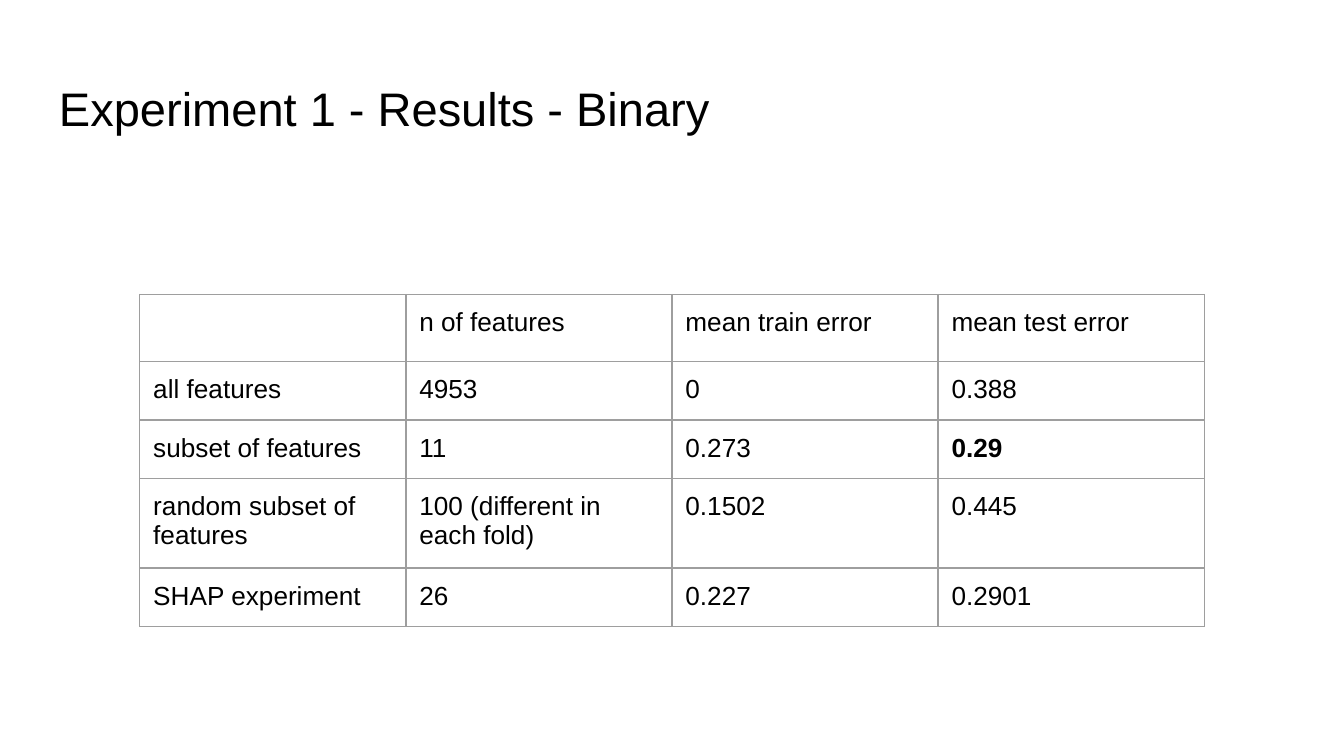
"""Build the slide with the results table of the binary experiment."""
import pptx
import pptx.dml.color
import pptx.enum.text
import pptx.oxml
import pptx.oxml.ns
import pptx.util
from pptx.util import Inches

TITLE = "Experiment 1 - Results - Binary"
ROWS = [
    ("", "n of features", "mean train error", "mean test error"),
    ("all features", "4953", "0", "0.388"),
    ("subset of features", "11", "0.273", "0.29"),
    ("random subset of features", "100 (different in each fold)", "0.1502", "0.445"),
    ("SHAP experiment", "26", "0.227", "0.2901"),
]
BEST = "0.29"
COL_WIDTH, ROW_HEIGHT = Inches(1.98), Inches(5 / 12)
FRAME_SIZE = Inches(3.28)
INSET = Inches(0.1)
BLACK, GRID = "000000", "9E9E9E"


def color(value):
    return pptx.dml.color.RGBColor.from_string(value)


def write(tf, text, size=14, bold=False, fill=BLACK, font="Arial"):
    tf.word_wrap = True
    r = tf.paragraphs[0].add_run()
    r.text = text
    r.font.name = font
    r.font.size = pptx.util.Pt(size)
    r.font.bold = bold
    r.font.color.rgb = color(fill)


def add_borders(cell, line=GRID, width=0.75):
    tcPr = cell._tc.get_or_add_tcPr()
    for side in "LRTB":
        tcPr.append(pptx.oxml.parse_xml(
            f'<a:ln{side} {pptx.oxml.ns.nsdecls("a")} w="{pptx.util.Pt(width)}">'
            f'<a:solidFill><a:srgbClr val="{line}"/></a:solidFill></a:ln{side}>'))


def main():
    prs = pptx.Presentation()
    prs.slide_width = Inches(10)
    prs.slide_height = prs.slide_width * 9 // 16
    s = prs.slides.add_slide(prs.slide_layouts[6])

    title = s.shapes.add_textbox(Inches(0.34), Inches(0.49), Inches(9.32), Inches(0.63))
    tf = title.text_frame
    tf.margin_left = tf.margin_right = tf.margin_top = tf.margin_bottom = INSET
    tf.vertical_anchor = pptx.enum.text.MSO_ANCHOR.TOP
    write(tf, TITLE, size=25.2)

    frame = s.shapes.add_table(
        len(ROWS), len(ROWS[0]), Inches(1.04), Inches(2.19), FRAME_SIZE, FRAME_SIZE)
    table = frame.table
    table.first_row = table.horz_banding = False
    for col in table.columns:
        col.width = COL_WIDTH
    for row, texts in zip(table.rows, ROWS):
        row.height = ROW_HEIGHT
        for cell, text in zip(row.cells, texts):
            cell.margin_left = cell.margin_right = INSET
            cell.margin_top = cell.margin_bottom = INSET
            add_borders(cell)
            cell.fill.background()
            if text:
                write(cell.text_frame, text, bold=text == BEST)
    frame.width = frame.height = FRAME_SIZE

    prs.save("out.pptx")


if __name__ == "__main__":
    main()
